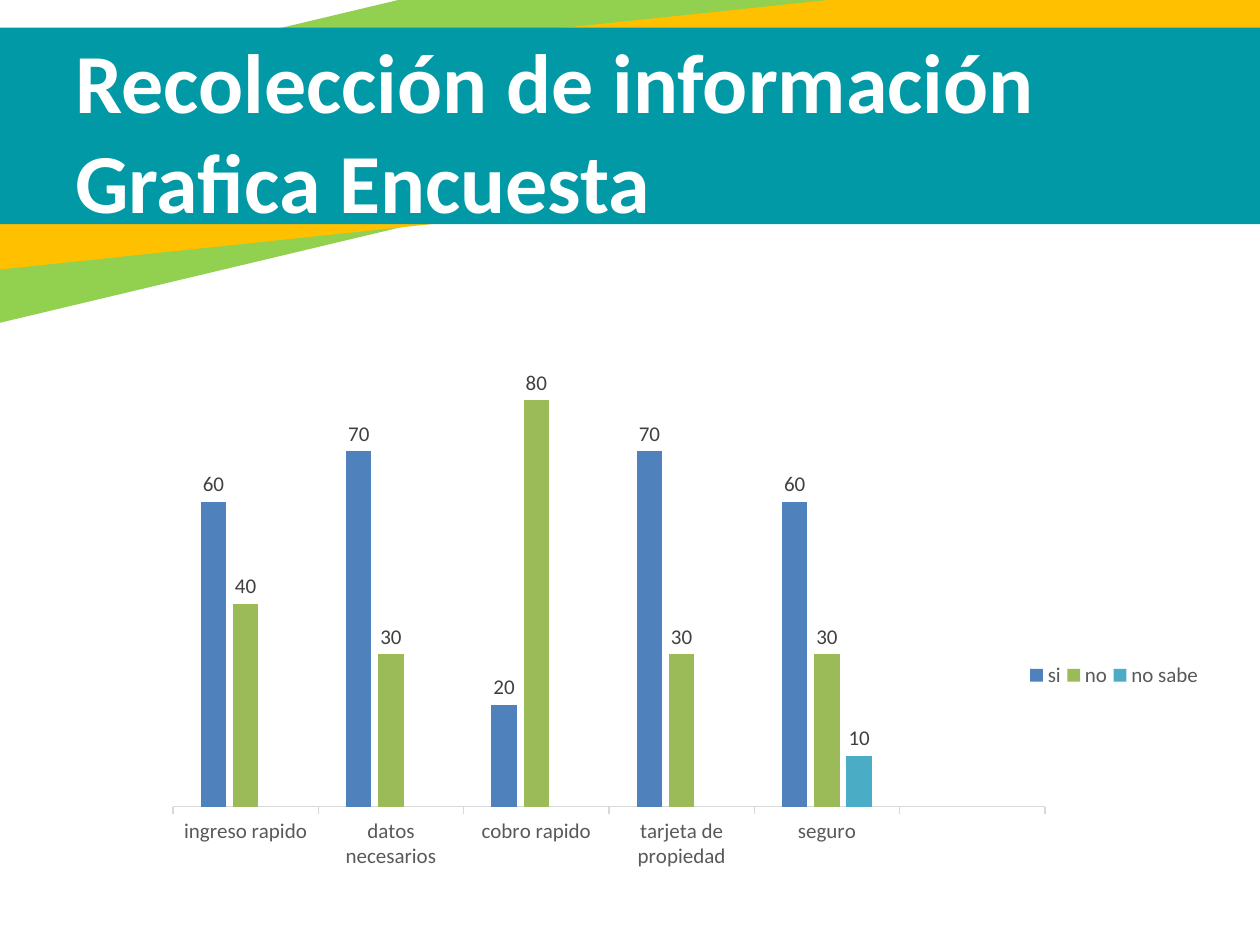
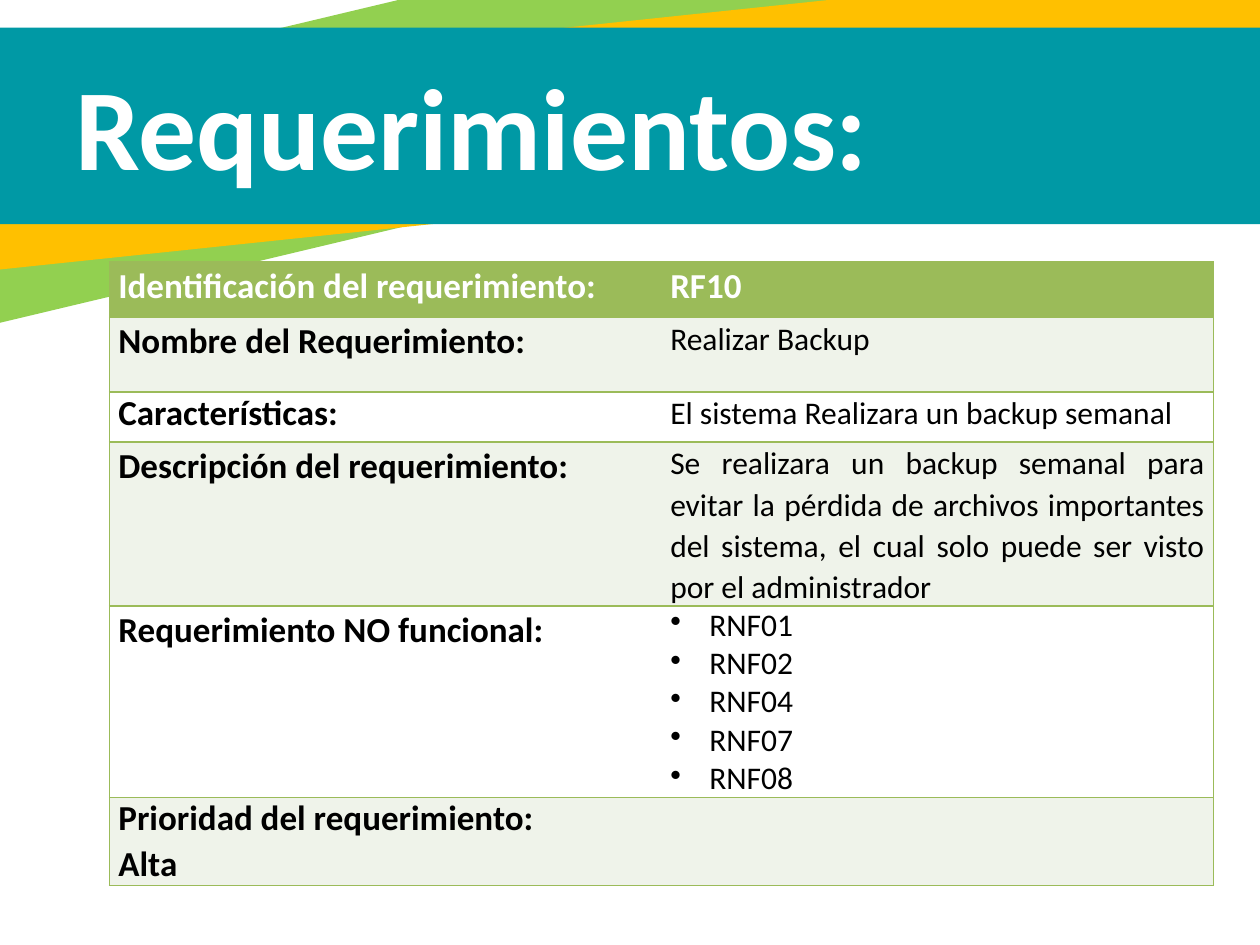
from lxml import etree
from pptx import Presentation
from pptx.chart.data import CategoryChartData
from pptx.dml.color import RGBColor
from pptx.enum.chart import XL_CHART_TYPE, XL_LABEL_POSITION, XL_LEGEND_POSITION, XL_TICK_MARK
from pptx.enum.shapes import MSO_SHAPE
from pptx.enum.text import MSO_ANCHOR, PP_ALIGN
from pptx.oxml.ns import qn
from pptx.util import Inches, Pt

COLUMNS = XL_CHART_TYPE.COLUMN_CLUSTERED
OUTSIDE_END = XL_LABEL_POSITION.OUTSIDE_END
LEGEND_RIGHT = XL_LEGEND_POSITION.RIGHT
TICK_OUT = XL_TICK_MARK.OUTSIDE
RECTANGLE = MSO_SHAPE.RECTANGLE
MIDDLE = MSO_ANCHOR.MIDDLE
LEFT, JUSTIFY = PP_ALIGN.LEFT, PP_ALIGN.JUSTIFY

WHITE = RGBColor(0xFF, 0xFF, 0xFF)
BLACK = RGBColor(0x00, 0x00, 0x00)
LIME = RGBColor(0x92, 0xD0, 0x50)
AMBER = RGBColor(0xFF, 0xC0, 0x00)
TEAL = RGBColor(0x00, 0x99, 0xA5)
BLUE = RGBColor(0x4F, 0x81, 0xBD)
GREEN = RGBColor(0x9B, 0xBB, 0x59)
AQUA = RGBColor(0x4B, 0xAC, 0xC6)
PALE_GREEN = RGBColor(0xEF, 0xF3, 0xEA)
AXIS_GREY = RGBColor(0xD9, 0xD9, 0xD9)
TEXT_GREY = RGBColor(0x59, 0x59, 0x59)
LABEL_GREY = RGBColor(0x40, 0x40, 0x40)

FONT = "Calibri"
NO_STYLE = "{2D5ABB26-0587-4C30-8999-92F81FD0307C}"
LINE_SPACING = 1.07


def write(frame, text, size, color=BLACK, bold=False, align=LEFT, spacing=1.0, bullet=None):
    """Fill a text frame, one paragraph for each line of text."""
    frame.word_wrap = True
    for number, line in enumerate(text.split("\n")):
        paragraph = frame.add_paragraph() if number else frame.paragraphs[0]
        paragraph.alignment, paragraph.line_spacing = align, spacing
        run = paragraph.add_run()
        run.text = line
        run.font.name, run.font.size, run.font.bold = FONT, Pt(size), bold
        run.font.color.rgb = color
        if bullet:
            properties = paragraph._p.get_or_add_pPr()
            properties.set("marL", str(Inches(0.31)))
            properties.set("indent", str(-Inches(0.31)))
            etree.SubElement(properties, qn("a:buChar"), char=bullet)


def chart_layout(x, y, w, h, inner=False):
    """Manual chart layout, in shares of the chart's size."""
    layout = etree.Element(qn("c:layout"))
    manual = etree.SubElement(layout, qn("c:manualLayout"))
    settings = [("layoutTarget", "inner")] if inner else []
    settings += [("xMode", "edge"), ("yMode", "edge"), ("x", x), ("y", y), ("w", w), ("h", h)]
    for tag, value in settings:
        etree.SubElement(manual, qn(f"c:{tag}"), val=str(value))
    return layout


presentation = Presentation()
presentation.slide_width, presentation.slide_height = Inches(10), Inches(7.5)

# Bands and titles
BANDS = [
    ((-2.51, -0.18, 13.06, 1.76), 346.6, LIME),
    ((-1.1, 0.2, 11.63, 1.44), 354, AMBER),
    ((-1.06, 0.22, 11.63, 1.56), 0, TEAL),
]
TITLES = [
    ("Recolección de información Grafica Encuesta", 48, (0.5, 0.22, 9.22, 1.62)),
    ("Requerimientos:", 66, (0.5, 0.5, 6.58, 0.97)),
]
slides = []
for title, title_size, title_place in TITLES:
    slide = presentation.slides.add_slide(presentation.slide_layouts[6])
    for place, rotation, color in BANDS:
        band = slide.shapes.add_shape(RECTANGLE, *map(Inches, place))
        band.rotation = rotation
        band.shadow.inherit = False
        band.fill.solid()
        band.fill.fore_color.rgb = color
        band.line.fill.background()
    heading = slide.shapes.add_textbox(*map(Inches, title_place)).text_frame
    heading.vertical_anchor = MIDDLE
    write(heading, title, title_size, WHITE, bold=True)
    slides.append(slide)
survey_slide, requirement_slide = slides

# Survey chart
ANSWERS = [
    ("si", (60, 70, 20, 70, 60, None), BLUE),
    ("no", (40, 30, 80, 30, 30, None), GREEN),
    ("no sabe", (None, None, None, None, 10, None), AQUA),
]
survey = CategoryChartData()
survey.categories = ["ingreso rapido", "datos necesarios", "cobro rapido",
                     "tarjeta de propiedad", "seguro", ""]
for answer, votes, _ in ANSWERS:
    survey.add_series(answer, votes)
chart = survey_slide.shapes.add_chart(
    COLUMNS, *map(Inches, (1.12, 2.03, 8.44, 4.97)), survey).chart
chart.has_title = False
chart.font.name, chart.font.size = FONT, Pt(12)
chart.font.color.rgb = TEXT_GREY

bars = chart.plots[0]
bars.gap_width, bars.overlap, bars.vary_by_categories = 219, -27, False
for series, (_, _, color) in zip(bars.series, ANSWERS):
    series.format.fill.solid()
    series.format.fill.fore_color.rgb = color
    labels = series.data_labels
    labels.show_value, labels.position = True, OUTSIDE_END
    labels.font.name, labels.font.size = FONT, Pt(12)
    labels.font.color.rgb = LABEL_GREY

votes_axis = chart.value_axis
votes_axis.visible = votes_axis.has_major_gridlines = False
votes_axis.minimum_scale, votes_axis.maximum_scale = 0, 90
question_axis = chart.category_axis
question_axis.major_tick_mark = TICK_OUT
question_axis.format.line.color.rgb = AXIS_GREY
question_axis.format.line.width = Pt(0.75)

chart.has_legend = True
legend = chart.legend
legend.position, legend.include_in_layout = LEGEND_RIGHT, False
legend.font.name, legend.font.size = FONT, Pt(12)
legend.font.color.rgb = TEXT_GREY
for old_layout in legend._element.findall(qn("c:layout")):
    legend._element.remove(old_layout)
legend._element.find(qn("c:legendPos")).addnext(chart_layout(0.83, 0.58, 0.17, 0.18))
plot_area = chart._chartSpace.chart.plotArea
for old_layout in plot_area.findall(qn("c:layout")):
    plot_area.remove(old_layout)
plot_area.insert(0, chart_layout(0.03, 0.15, 0.82, 0.73, inner=True))

# Requirement table: label, label spacing, value, value format, row height
SINGLE = {"size": 18, "spacing": LINE_SPACING}
ROWS = [
    ("Identificación del requerimiento:", LINE_SPACING, "RF10",
     {"size": 20, "color": WHITE, "bold": True, "spacing": LINE_SPACING}, 0.44),
    ("Nombre del Requerimiento:", LINE_SPACING, "Realizar Backup", SINGLE, 0.59),
    ("Características:", 1.0, "El sistema Realizara un backup semanal", SINGLE, 0.4),
    ("Descripción del requerimiento:", LINE_SPACING,
     "Se realizara un backup semanal para evitar la pérdida de archivos importantes "
     "del sistema, el cual solo puede ser visto por el administrador",
     {**SINGLE, "align": JUSTIFY}, 1.3),
    ("Requerimiento NO funcional:", LINE_SPACING, "RNF01\nRNF02\nRNF04\nRNF07\nRNF08",
     {"size": 18, "bullet": "•"}, 1.52),
    ("Prioridad del requerimiento:\nAlta", 1.0, None, {}, 0.7),
]
table = requirement_slide.shapes.add_table(
    len(ROWS), 2, *map(Inches, (0.87, 2.08, 8.76, sum(row[-1] for row in ROWS)))).table
table.first_row = table.horz_banding = False
table._tbl.tblPr.find(qn("a:tableStyleId")).text = NO_STYLE
for row, (label, label_spacing, value, value_format, height) in enumerate(ROWS):
    table.rows[row].height = Inches(height)
    label_cell, value_cell = table.cell(row, 0), table.cell(row, 1)
    if value is None:
        label_cell.merge(value_cell)
    for cell, side in ((label_cell, "L"), (value_cell, "R")):
        cell.margin_left = cell.margin_right = Inches(0.07)
        cell.margin_top = cell.margin_bottom = 0
        for edge in "LRTB" if value is None else side + "TB":
            border = etree.SubElement(cell._tc.get_or_add_tcPr(), qn(f"a:ln{edge}"), w=str(Pt(1)))
            paint = etree.SubElement(border, qn("a:solidFill"))
            etree.SubElement(paint, qn("a:srgbClr"), val=str(GREEN))
        cell.fill.solid()
        cell.fill.fore_color.rgb = GREEN if row == 0 else (WHITE, PALE_GREEN)[row % 2]
    write(label_cell.text_frame, label, 20, BLACK if row else WHITE, bold=True,
          spacing=label_spacing)
    if value is None:
        label_cell.text_frame.paragraphs[-1].line_spacing = LINE_SPACING
    else:
        write(value_cell.text_frame, value, **value_format)

presentation.save("out.pptx")
